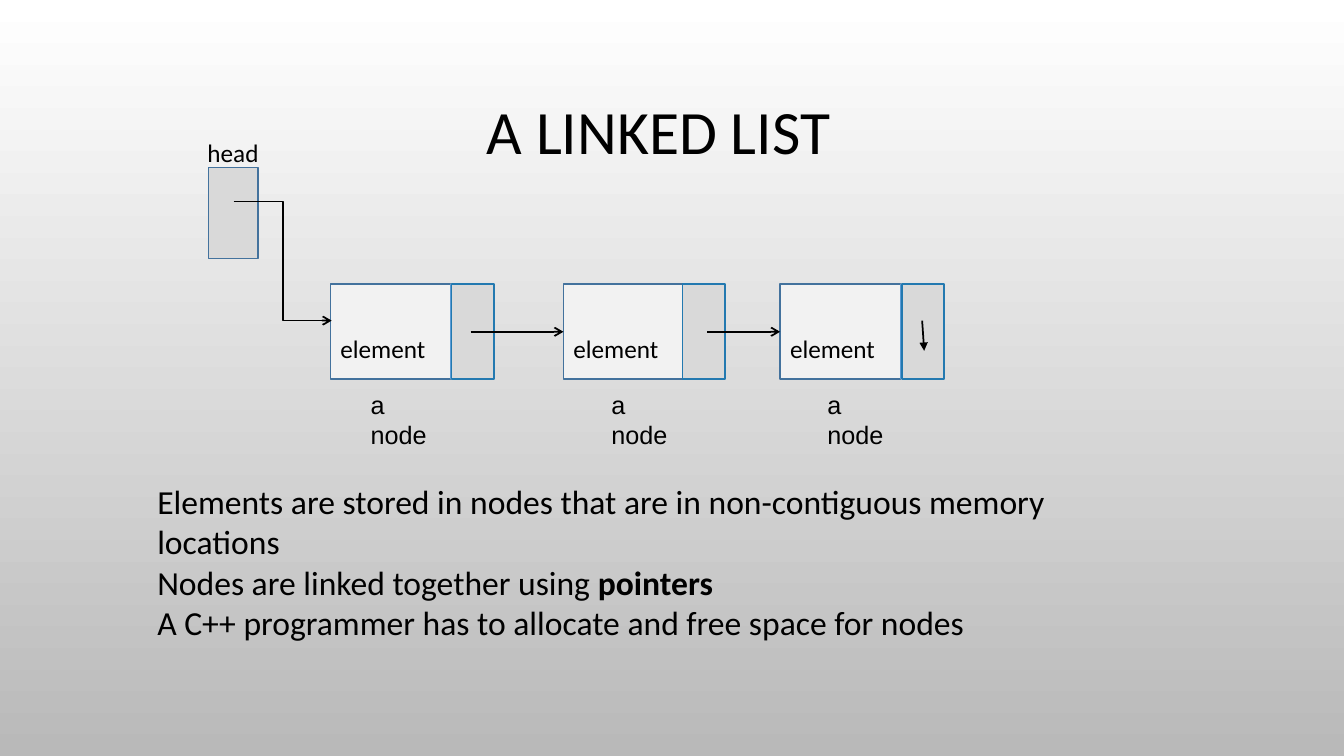
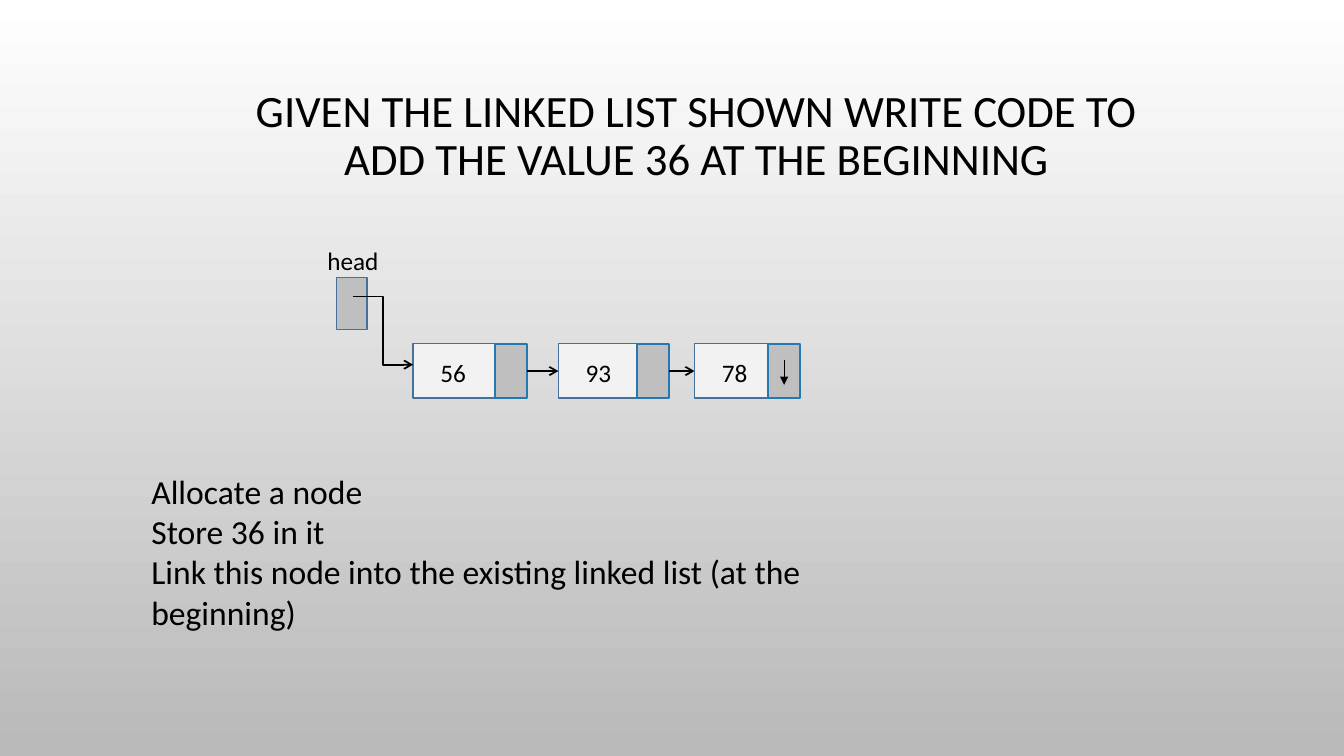
from pptx import Presentation
from pptx.dml.color import RGBColor
from pptx.enum import shapes, text
from pptx.oxml import ns, xmlchemy
from pptx.util import Cm, Pt

BLACK = RGBColor(0x00, 0x00, 0x00)
WHITE = RGBColor(0xFF, 0xFF, 0xFF)
BACK_GREY = RGBColor(0xB9, 0xB9, 0xB9)
DATA_FILL = RGBColor(0xF2, 0xF2, 0xF2)
LIGHT_GREY = RGBColor(0xD9, 0xD9, 0xD9)
MID_GREY = RGBColor(0xBF, 0xBF, 0xBF)
DATA_LINE = RGBColor(0x43, 0x72, 0x9D)
POINTER_LINE = RGBColor(0x23, 0x79, 0xB0)
DIVIDER_LINE = RGBColor(0x5B, 0x9B, 0xD5)
STRAIGHT = shapes.MSO_CONNECTOR.STRAIGHT
ELBOW = shapes.MSO_CONNECTOR.ELBOW


class ListDeck:
    """Draw linked-list diagrams in one shared style."""

    def __init__(self):
        self.deck = Presentation()
        self.deck.slide_width, self.deck.slide_height = Cm(33.87), Cm(19.05)
        fill = self.deck.slide_master.background.fill
        fill.gradient()
        fill.gradient_angle = 270
        for stop, colour in zip(fill.gradient_stops, (WHITE, BACK_GREY)):
            stop.color.rgb = colour

    def new_page(self, pointer_fill):
        self.page = self.deck.slides.add_slide(self.deck.slide_layouts[1])
        self.pointer_fill = pointer_fill

    def place(self, box, left, top, width, height):
        box.left, box.top = Cm(left), Cm(top)
        box.width, box.height = Cm(width), Cm(height)

    def style(self, frame, size, font="Calibri"):
        for para in frame.paragraphs:
            for span in para.runs:
                span.font.size, span.font.name = Pt(size), font
                span.font.color.rgb = BLACK

    def title(self, words, left, top, width, size):
        box = self.page.shapes.title
        self.place(box, left, top, width, 4.45)
        frame = box.text_frame
        frame.text = words
        frame.auto_size = text.MSO_AUTO_SIZE.NONE
        frame.vertical_anchor = text.MSO_ANCHOR.MIDDLE
        frame.paragraphs[0].alignment = text.PP_ALIGN.CENTER
        frame.paragraphs[0].line_spacing = 0.9
        self.style(frame, size)

    def body(self, lines, left, top, width, strong=None):
        box = self.page.placeholders[1]
        self.place(box, left, top, width, 4.2)
        frame = box.text_frame
        frame.text = "\n".join(lines)
        frame.auto_size = text.MSO_AUTO_SIZE.NONE
        for para in frame.paragraphs:
            if strong and para.text.endswith(strong):
                para.text = para.text.removesuffix(strong)
                span = para.add_run()
                span.text, span.font.bold = strong, True
            para.space_before = Pt(0)
            props = para._p.get_or_add_pPr()
            props.set("marL", "0")
            props.set("indent", "0")
            props.append(xmlchemy.OxmlElement("a:buNone"))
        self.style(frame, 24)

    def label(self, words, left, top, width, height, font="Calibri"):
        box = self.page.shapes.add_textbox(Cm(left), Cm(top), Cm(width), Cm(height))
        box.text_frame.word_wrap = True
        box.text_frame.text = words
        self.style(box.text_frame, 18, font)

    def rect(self, left, top, width, height, fill, line, weight):
        box = self.page.shapes.add_shape(
            shapes.MSO_SHAPE.RECTANGLE, Cm(left), Cm(top), Cm(width), Cm(height))
        box.shadow.inherit = False
        box.fill.solid()
        box.fill.fore_color.rgb = fill
        box.line.color.rgb, box.line.width = line, Pt(weight)
        return box

    def line(self, start, end, kind=STRAIGHT, head="arrow", colour=BLACK, weight=1.25):
        ends = [Cm(value) for value in (*start, *end)]
        link = self.page.shapes.add_connector(kind, *ends)
        link.line.color.rgb, link.line.width = colour, Pt(weight)
        props = link._element.spPr
        if head:
            tail = xmlchemy.OxmlElement("a:tailEnd")
            tail.set("type", head)
            props.find(ns.qn("a:ln")).append(tail)
        props.append(xmlchemy.OxmlElement("a:effectLst"))

    def head(self, label_at, box_at, box_size, link_from, link_to):
        self.label("head", *label_at, 1.8, 1.04)
        self.rect(*box_at, *box_size, self.pointer_fill, DATA_LINE, 1)
        self.line(link_from, link_to, ELBOW)

    def node(self, words, left, top, data_size, pointer_left, pointer_width, inset):
        width, height = data_size
        box = self.rect(left, top, width, height, DATA_FILL, DATA_LINE, 1)
        frame = box.text_frame
        frame.text = words
        frame.margin_left, frame.margin_top = Cm(inset[0]), Cm(inset[1])
        frame.vertical_anchor = text.MSO_ANCHOR.MIDDLE
        frame.paragraphs[0].alignment = text.PP_ALIGN.LEFT
        self.style(frame, 18)
        right = left + width
        self.line((right, top), (right, top + height), head=None,
                  colour=DIVIDER_LINE, weight=0.5)
        self.rect(pointer_left, top, pointer_width, height,
                  self.pointer_fill, POINTER_LINE, 1.25)


def linked_list_page(slides):
    slides.new_page(LIGHT_GREY)
    slides.title("A LINKED LIST", 2.21, 1.17, 28.78, 44)
    lefts = (8.33, 14.2, 19.66)
    for left, pointer_left, label_left in zip(
            lefts, (11.38, 17.2, 22.73), (9.09, 15.16, 20.6)):
        slides.node("element", left, 7.16, (3.03, 2.39), pointer_left, 1.07, (0.25, 0.98))
        slides.label("a node", label_left, 9.68, 2.1, 1.6, "Arial")
    for start, end in zip((11.86, 17.83), lefts[1:]):
        slides.line((start, 8.36), (end, 8.36))
    slides.head((4.98, 3.33), (5.26, 4.22), (1.24, 2.29), (5.89, 5.08), (8.36, 8.08))
    slides.line((23.24, 8.08), (23.29, 8.84), head="triangle")
    slides.body(
        ["Elements are stored in nodes that are in non-contiguous memory locations",
         "Nodes are linked together using pointers",
         "A C++ programmer has to allocate and free space for nodes"],
        3.71, 11.99, 25.37, strong="pointers")


def add_value_page(slides):
    slides.new_page(MID_GREY)
    slides.title(
        "GIVEN THE LINKED LIST SHOWN WRITE CODE TO ADD THE VALUE 36 AT THE BEGINNING",
        5.54, 1.22, 24.03, 32)
    lefts, pointer_lefts = (10.41, 14.07, 17.5), (12.47, 16.05, 19.35)
    for value, left, pointer_left in zip(("56", "93", "78"), lefts, pointer_lefts):
        slides.node(value, left, 8.66, (2.65, 1.37), pointer_left, 0.81, (0.69, 0.2))
    for pointer_left, end in zip(pointer_lefts, lefts[1:]):
        slides.line((pointer_left + 0.81, 9.35), (end, 9.35))
    slides.head((8, 6.05), (8.48, 6.99), (0.77, 1.32), (8.89, 7.47), (10.41, 9.19))
    slides.line((19.76, 9.07), (19.76, 9.7), head="triangle", weight=0.75)
    slides.body(
        ["Allocate a node",
         "Store 36 in it",
         "Link this node into the existing linked list (at the beginning)"],
        3.56, 11.73, 20.42)


def main():
    slides = ListDeck()
    linked_list_page(slides)
    add_value_page(slides)
    slides.deck.save("out.pptx")


if __name__ == "__main__":
    main()
